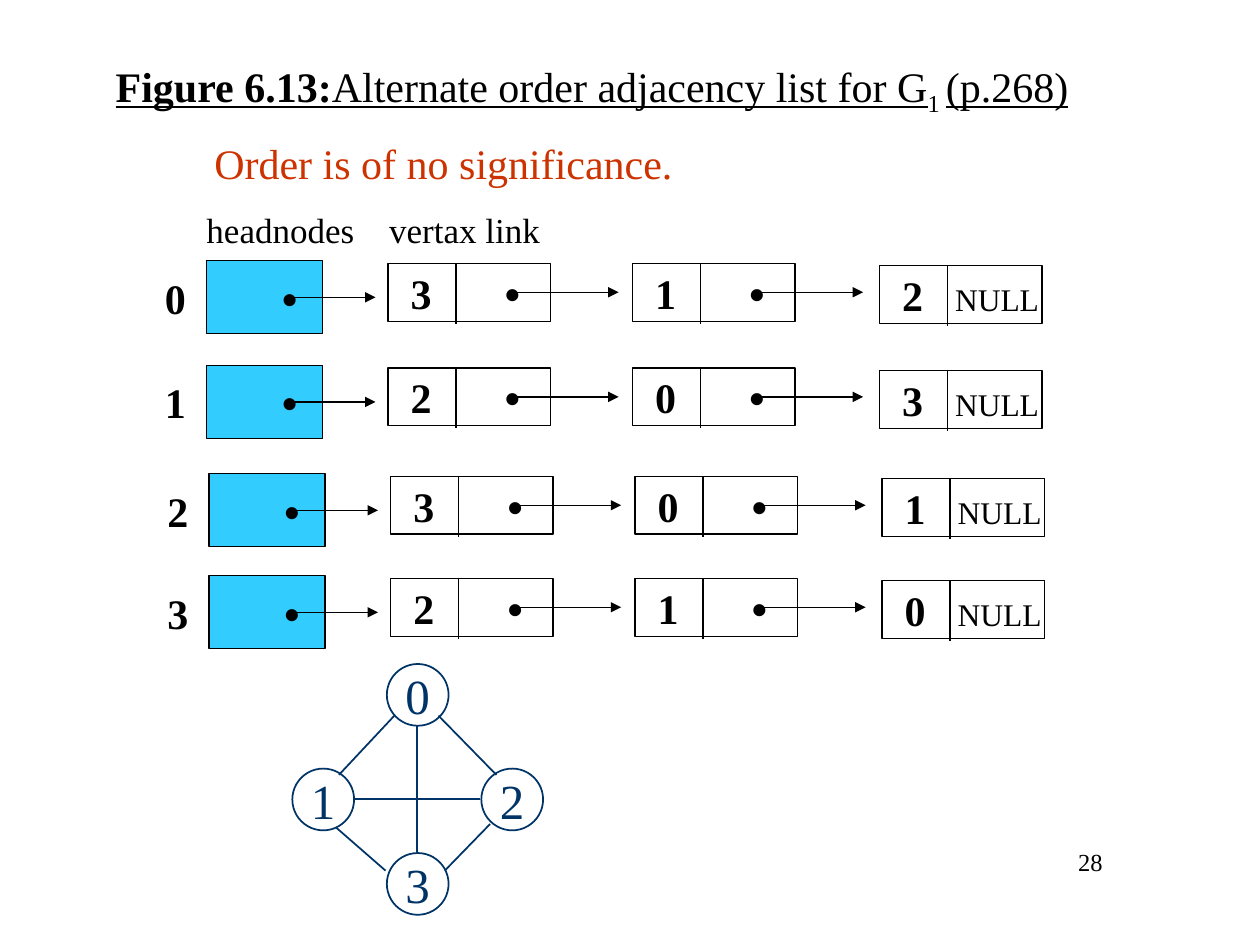
from lxml import etree
from pptx import Presentation, util as u
from pptx.dml.color import RGBColor
from pptx.enum import shapes, text
from pptx.oxml.ns import qn

ROWS = [
    (1.64, 2.07, "0", "312"),
    (1.64, 2.90, "1", "203"),
    (1.66, 3.76, "2", "301"),
    (1.66, 4.57, "3", "210"),
]
CELLS = [(1.44, 0.02), (3.38, 0.02), (5.34, 0.04)]
NODES = [("0", 3.07, 5.27), ("1", 2.32, 6.1), ("2", 3.82, 6.1), ("3", 3.07, 6.77)]
EDGES = [
    (3.31, 5.76, 3.31, 6.76),
    (2.81, 6.34, 3.81, 6.34),
    (3.13, 5.68, 2.69, 6.15),
    (3.48, 5.68, 3.94, 6.15),
    (2.67, 6.57, 3.06, 6.91),
    (3.89, 6.54, 3.53, 6.91),
]
TITLE = [
    ("Figure 6.13:", {"bold": True, "underline": True}),
    ("Alternate order adjacency list for G", {"underline": True}),
    ("1 ", {"base": -25000}),
    ("(p.268)", {"underline": True}),
]
DOT = ("•", {"name": "Arial", "bold": True})
BLACK, WHITE, BLUE, NAVY, RED = "000000", "FFFFFF", "33CCFF", "003366", "CC3300"
LEFT, MID, RIGHT = text.PP_ALIGN.LEFT, text.PP_ALIGN.CENTER, text.PP_ALIGN.RIGHT

prs = Presentation()
prs.slide_width, prs.slide_height = u.Inches(10), u.Inches(7.5)
slide = prs.slides.add_slide(prs.slide_layouts[6])


def rgb(code):
    return RGBColor.from_string(code)


def write(box, runs, size=24, color=BLACK, bold=False, align=LEFT,
          side=(0.1, 0.1), tab=None, anchor=text.MSO_ANCHOR.MIDDLE):
    frame = box.text_frame
    frame.word_wrap = True
    frame.vertical_anchor = anchor
    frame.margin_left, frame.margin_right = map(u.Inches, side)
    para = frame.paragraphs[0]
    para.alignment = align
    if tab:
        stops = etree.SubElement(para._p.get_or_add_pPr(), qn("a:tabLst"))
        etree.SubElement(stops, qn("a:tab"), pos=str(u.Inches(tab)), algn="l")
    font = para.font
    font.name, font.size, font.bold = "Times New Roman", u.Pt(size), bold
    font.color.rgb = rgb(color)
    for words, style in runs:
        run = para.add_run()
        run.text = words
        for key, val in style.items():
            if key == "base":
                run._r.get_or_add_rPr().set("baseline", str(val))
            else:
                setattr(run.font, key, val)


def label(x, y, w, h, runs, **style):
    box = slide.shapes.add_textbox(*map(u.Inches, (x, y, w, h)))
    write(box, runs, **style)


def block(kind, x, y, w, h, fill, runs, line=BLACK, width=0.75, **style):
    box = slide.shapes.add_shape(kind, *map(u.Inches, (x, y, w, h)))
    box.shadow.inherit = False
    box.fill.solid()
    box.fill.fore_color.rgb = rgb(fill)
    box.line.color.rgb = rgb(line)
    box.line.width = u.Pt(width)
    write(box, runs, **style)


def link(x1, y1, x2, y2, color=BLACK, width=0.75, arrow=False):
    line = slide.shapes.add_connector(
        shapes.MSO_CONNECTOR.STRAIGHT, *map(u.Inches, (x1, y1, x2, y2)))
    line.line.color.rgb = rgb(color)
    line.line.width = u.Pt(width)
    if arrow:
        etree.SubElement(line.line._get_or_add_ln(), qn("a:tailEnd"), type="triangle")
    etree.SubElement(line._element.spPr, qn("a:effectLst"))


rect, oval = shapes.MSO_SHAPE.RECTANGLE, shapes.MSO_SHAPE.OVAL

label(6.77, 6.67, 2.08, 0.5, [("28", {})], size=14, align=RIGHT,
      anchor=text.MSO_ANCHOR.TOP)

for x, y, name, items in ROWS:
    label(x - 0.43, y + 0.04, 0.36, 0.5, [(name, {})], bold=True, align=MID)
    block(rect, x, y, 0.92, 0.58, BLUE, [DOT], side=(0.6, 0))
    link(x + 0.67, y + 0.29, x + 1.34, y + 0.29, arrow=True)
    for item, (dx, dy) in zip(items, CELLS):
        left, top = x + dx, y + dy
        last = dx == CELLS[-1][0]
        end = ("NULL", {"size": u.Pt(18)}) if last else DOT
        block(rect, left, top, 1.29, 0.46, WHITE,
              [(item + "\t", {"bold": True}), end],
              side=(0.18, 0), tab=0.42 if last else 0.75)
        link(left + 0.54, top, left + 0.54, top + 0.48)
        if not last:
            link(left + 1, top + 0.23, left + 1.83, top + 0.23, arrow=True)

label(1.54, 1.6, 2.85, 0.44, [("headnodes\tvertax link", {})], size=20,
      side=(0.1, 0), tab=1.45)
label(1.6, 1.04, 3.84, 0.5, [("Order is of no significance.", {})],
      color=RED, align=MID, side=(0, 0))

for name, x, y in NODES:
    block(oval, x, y, 0.49, 0.49, WHITE, [(name, {})], line=NAVY, width=1,
          size=28, color=NAVY, align=MID, side=(0, 0))
for edge in EDGES:
    link(*edge, color=NAVY, width=1)

label(0.82, 0.32, 8.5, 0.77, TITLE)

prs.save("out.pptx")
